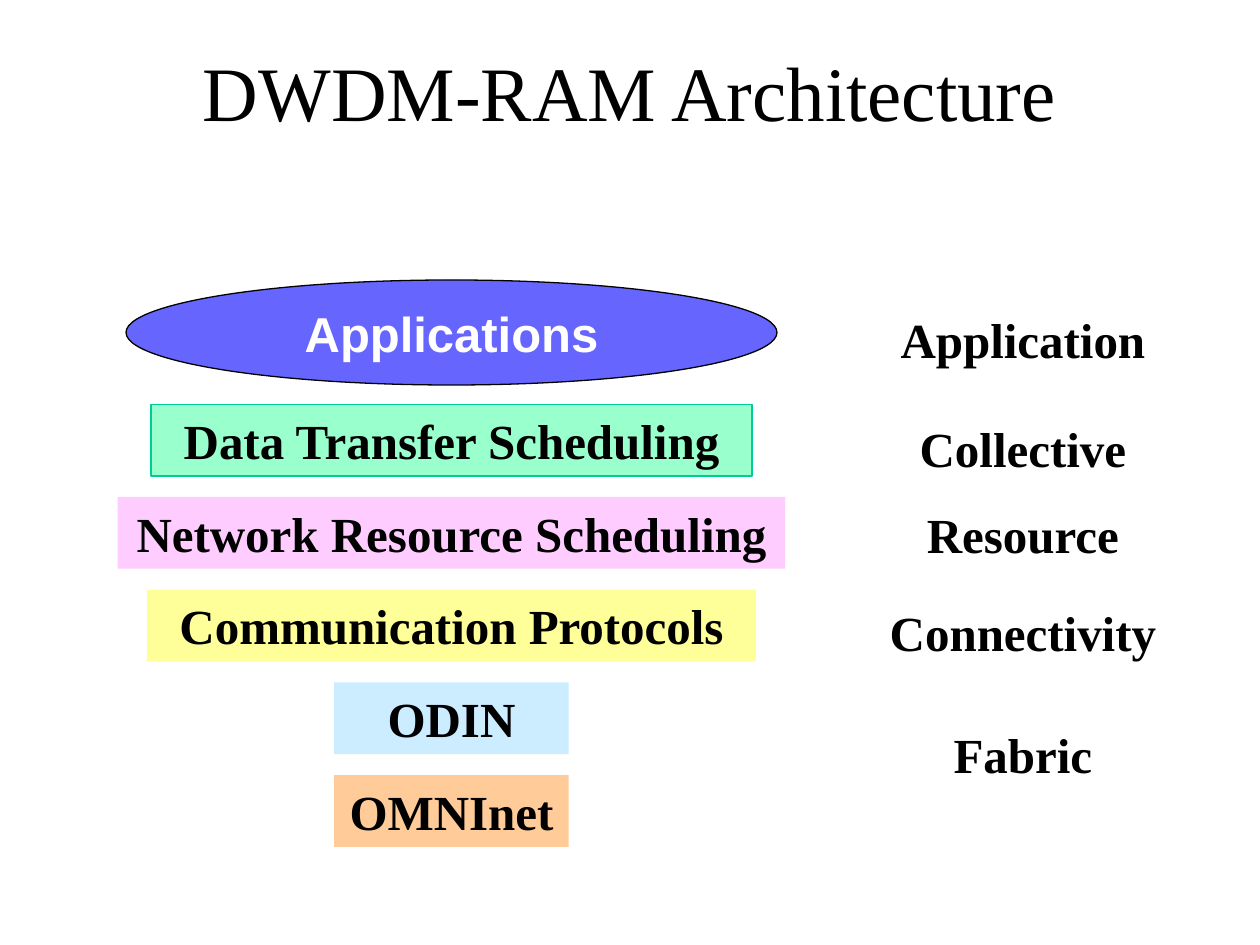
from pptx import Presentation
from pptx.dml.color import RGBColor
from pptx.enum.shapes import MSO_SHAPE as Shape
from pptx.enum.text import MSO_ANCHOR as Anchor, PP_ALIGN as Align
from pptx.util import Pt

COLORS = {
    "black": "000000", "white": "FFFFFF", "blue": "6666FF",
    "mint": "99FFCC", "green": "00CC99", "pink": "FFCCFF",
    "yellow": "FFFF99", "sky": "CCECFF", "orange": "FFCC99",
}
SERIF, SANS = "Times New Roman", "Arial"

STACK_CENTER, STACK_TOP, STACK_PITCH = 258, 231, 53
BOX_HEIGHT = 41
LAYERS = [  # text, width, fill, line
    ("Data Transfer Scheduling", 343.5, "mint", "green"),
    ("Network Resource Scheduling", 381.5, "pink", None),
    ("Communication Protocols", 348, "yellow", None),
    ("ODIN", 134, "sky", None),
    ("OMNInet", 134, "orange", None),
]
LABEL_LEFT, LABEL_WIDTH = 500.5, 168
LABELS = [
    ("Application", 173.5), ("Collective", 235.5), ("Resource", 284.5),
    ("Connectivity", 340.5), ("Fabric", 410.5),
]


def rgb(name):
    return RGBColor.from_string(COLORS[name])


def write(box, text, font=SERIF, size=28, color="black", bold=True,
          anchor=Anchor.TOP, wrap=True):
    frame = box.text_frame
    frame.word_wrap = wrap
    frame.vertical_anchor = anchor
    frame.margin_left = frame.margin_right = Pt(7.2)
    frame.margin_top = frame.margin_bottom = Pt(3.6)
    para = frame.paragraphs[0]
    para.alignment = Align.CENTER
    span = para.add_run()
    span.text = text
    span.font.name = font
    span.font.size = Pt(size)
    span.font.bold = bold
    span.font.color.rgb = rgb(color)


class Page:
    """Holds the current slide and adds styled elements to it."""

    def __init__(self, deck):
        self.slide = deck.slides.add_slide(deck.slide_layouts[5])

    def title(self, text, left, top, width, height):
        box = self.slide.shapes.title
        box.left, box.top = Pt(left), Pt(top)
        box.width, box.height = Pt(width), Pt(height)
        box.fill.solid()
        box.fill.fore_color.rgb = rgb("white")
        write(box, text, size=44, bold=False)

    def shape(self, kind, text, center, top, width, height, fill,
              line=None, **style):
        box = self.slide.shapes.add_shape(
            kind, Pt(center - width / 2), Pt(top), Pt(width), Pt(height))
        box.shadow.inherit = False
        box.fill.solid()
        box.fill.fore_color.rgb = rgb(fill)
        if line:
            box.line.color.rgb = rgb(line)
            box.line.width = Pt(0.75)
        else:
            box.line.fill.background()
        write(box, text, **style)

    def label(self, text, left, top, width, height):
        box = self.slide.shapes.add_textbox(
            Pt(left), Pt(top), Pt(width), Pt(height))
        write(box, text)


def main():
    deck = Presentation()
    deck.slide_width, deck.slide_height = Pt(720), Pt(540)
    page = Page(deck)
    page.title("DWDM-RAM Architecture", 36, 21.6, 648, 90)
    page.shape(Shape.OVAL, "Applications", STACK_CENTER, 160, 372, 60,
               "blue", "black", font=SANS, color="white",
               anchor=Anchor.MIDDLE, wrap=False)
    for row, (text, width, fill, line) in enumerate(LAYERS):
        page.shape(Shape.RECTANGLE, text, STACK_CENTER,
                   STACK_TOP + row * STACK_PITCH, width, BOX_HEIGHT, fill, line)
    for text, top in LABELS:
        page.label(text, LABEL_LEFT, top, LABEL_WIDTH, BOX_HEIGHT)
    deck.save("out.pptx")


if __name__ == "__main__":
    main()
